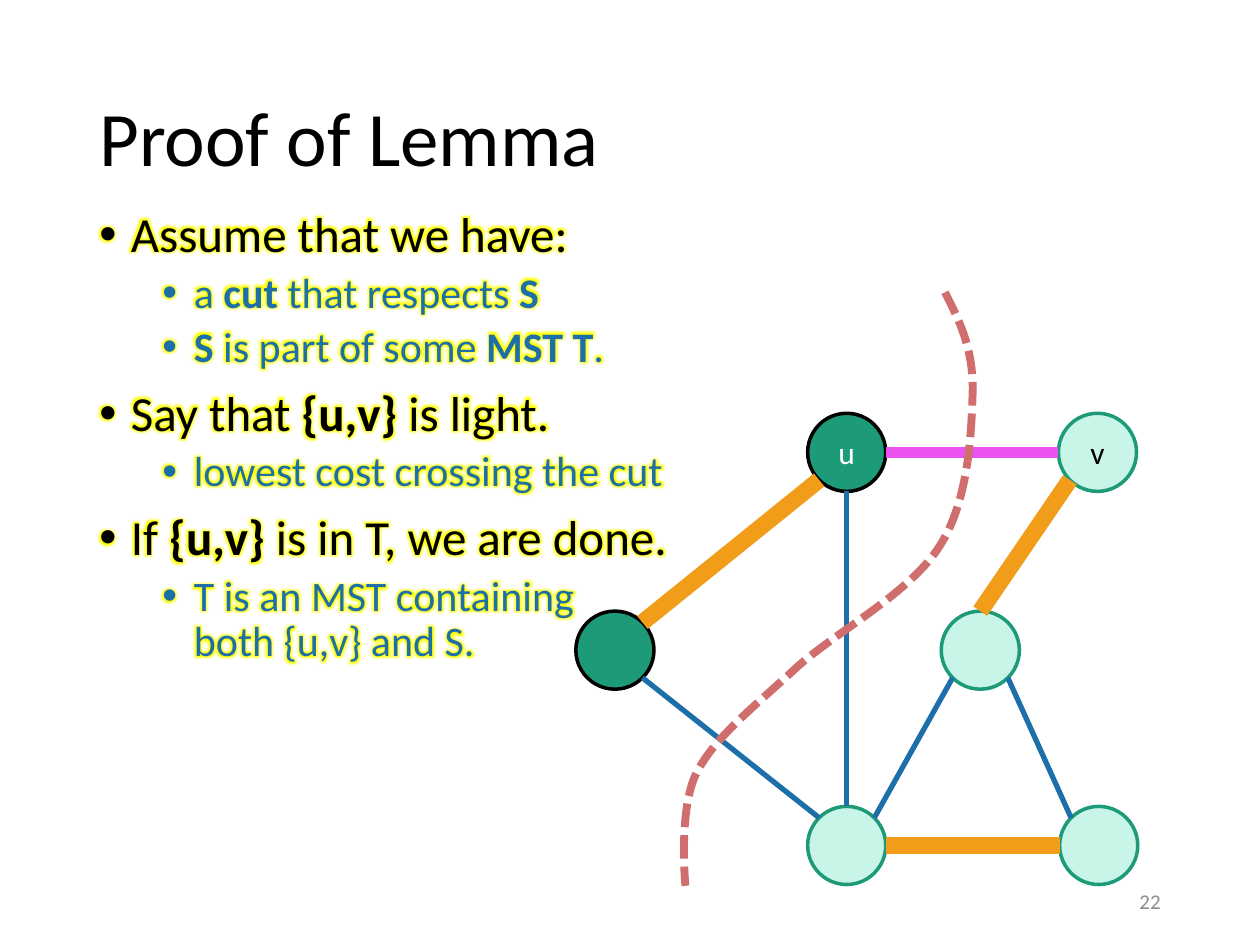
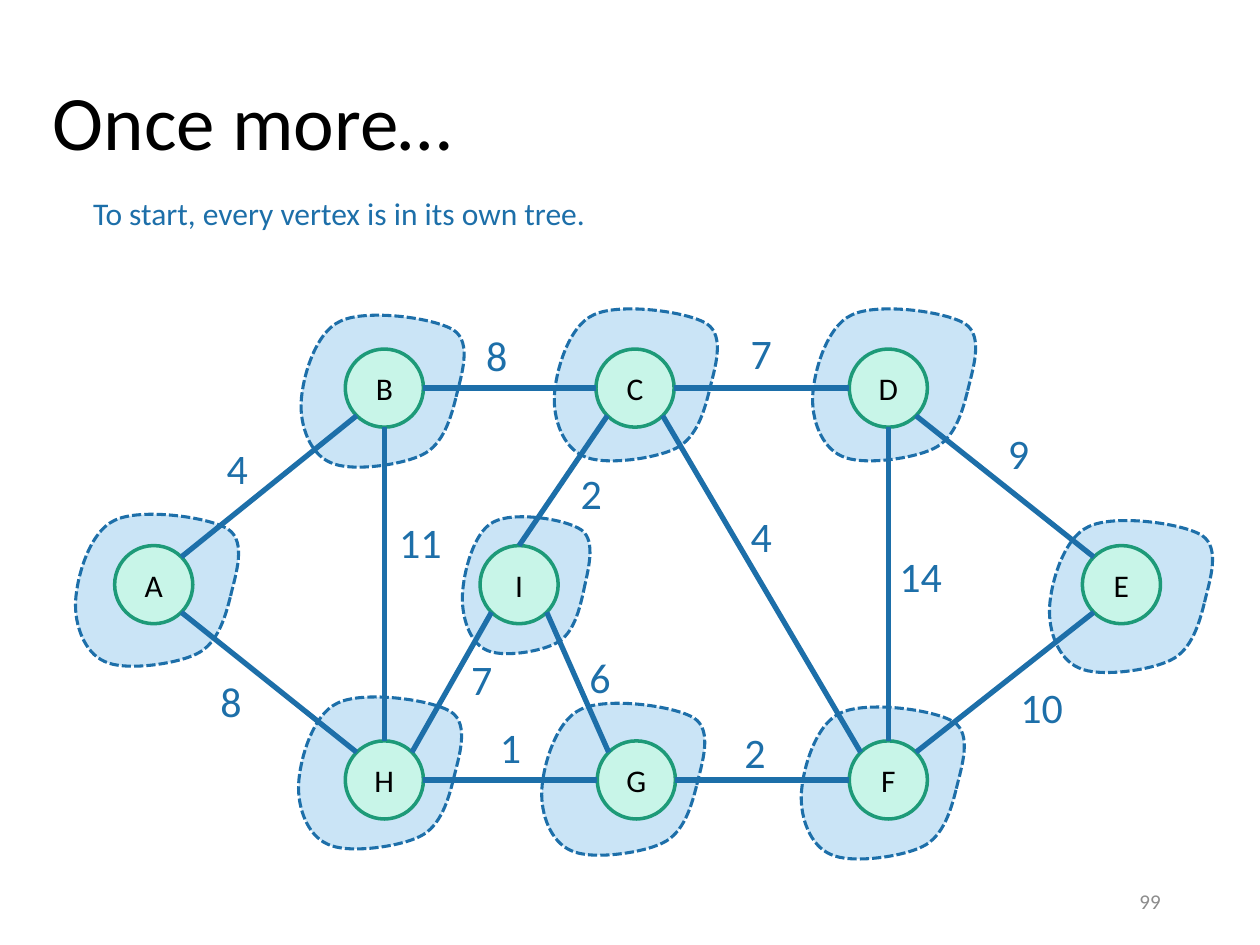
import math

import lxml.etree
import pptx
import pptx.dml.color
import pptx.enum.dml
import pptx.enum.shapes
import pptx.enum.text
import pptx.oxml.ns
import pptx.util

Inches, Pt = pptx.util.Inches, pptx.util.Pt
RGB = pptx.dml.color.RGBColor
ALIGN = pptx.enum.text.PP_ALIGN
ANCHOR = pptx.enum.text.MSO_ANCHOR
qn = pptx.oxml.ns.qn

FONT = "Calibri"
BLACK, WHITE, GREY = RGB(0, 0, 0), RGB(255, 255, 255), RGB(0x8C, 0x8C, 0x8C)
BLUE, PALE_BLUE = RGB(0x1D, 0x6F, 0xA9), RGB(0xCA, 0xE4, 0xF6)
GREEN, MINT = RGB(0x1D, 0x9A, 0x78), RGB(0xC8, 0xF5, 0xE8)
ORANGE, PINK, RED = RGB(0xF1, 0x9D, 0x19), RGB(0xEA, 0x53, 0xF1), RGB(0xCF, 0x6E, 0x6C)
GLOW = RGB(0xFF, 0xFF, 0)

NODE_SIZE = 0.62
SITE_ANGLES = {"r": 0, "br": 45, "b": 90, "bl": 135, "l": 180, "tl": 225, "t": 270, "tr": 315}

# Slide 1: (level, text), with bold parts between asterisks
PROOF = [
    (0, "Assume that we have:"),
    (1, "a *cut* that respects *S*"),
    (1, "*S* is part of some *MST T*."),
    (0, "Say that *{u,v} *is light."),
    (1, "lowest cost crossing the cut"),
    (0, "If *{u,v} *is in T, we are done."),
    (1, "T is an MST containing\nboth {u,v} and S."),
]
LEVELS = [dict(left=0.25, size=28, color=BLACK, before=10),
          dict(left=0.75, size=24, color=BLUE, before=5)]

# Vertex: centre x, centre y, label
PROOF_NODES = {
    "v": (8.71, 3.59, "v"), "u": (6.72, 3.59, "u"), "left": (4.88, 5.16, ""),
    "low": (6.72, 6.71, ""), "corner": (8.72, 6.71, ""), "middle": (7.78, 5.16, ""),
}
CUT_SIDE = ("u", "left")
PLAIN_EDGE, TREE_EDGE, LIGHT_EDGE = (BLUE, 3), (ORANGE, 9.5), (PINK, 6)
PROOF_EDGES = [
    ("middle", "br", "corner", "tl", PLAIN_EDGE),
    ("middle", "t", "v", "bl", TREE_EDGE),
    ("u", "r", "v", "l", LIGHT_EDGE),
    ("left", "tr", "u", "bl", TREE_EDGE),
    ("left", "br", "low", "tl", PLAIN_EDGE),
    ("corner", "l", "low", "r", TREE_EDGE),
    ("middle", "bl", "low", "tr", PLAIN_EDGE),
    ("low", "t", "u", "b", PLAIN_EDGE),
]
# Curves: start point, then two control points and an end point per piece
CUT_BOX = (5.42, 2.32, 2.29, 4.71)
CUT_CURVE = [
    (7.5, 2.32), (7.61, 2.54), (7.72, 2.75), (7.72, 3.09), (7.71, 3.43), (7.69, 3.97),
    (7.46, 4.33), (7.23, 4.7), (6.66, 5), (6.33, 5.29), (6.01, 5.59), (5.68, 5.84),
    (5.53, 6.13), (5.38, 6.42), (5.44, 7.03), (5.44, 7.03),
]

# Slide 2
GRAPH_NODES = {
    "A": (1.22, 4.64), "B": (3.05, 3.08), "C": (5.04, 3.08), "D": (7.05, 3.08),
    "E": (8.9, 4.64), "F": (7.05, 6.19), "G": (5.05, 6.19), "H": (3.05, 6.19),
    "I": (4.12, 4.64),
}
GRAPH_EDGES = [  # from, site, to, site, weight, weight box left and top
    ("A", "tr", "B", "bl", "4", 1.7, 3.46),
    ("A", "br", "H", "tl", "8", 1.65, 5.31),
    ("B", "r", "C", "l", "8", 3.76, 2.57),
    ("B", "b", "H", "t", "11", 3.07, 4.05),
    ("C", "r", "D", "l", "7", 5.86, 2.55),
    ("C", "bl", "I", "t", "2", 4.51, 3.66),
    ("C", "br", "F", "tl", "4", 5.86, 4),
    ("D", "br", "E", "tl", "9", 7.9, 3.34),
    ("D", "b", "F", "t", "14", 7.04, 4.32),
    ("E", "bl", "F", "tr", "10", 8, 5.36),
    ("I", "bl", "H", "tr", "7", 3.64, 5.14),
    ("I", "br", "G", "tl", "6", 4.58, 5.12),
    ("H", "r", "G", "l", "1", 3.87, 5.68),
    ("G", "r", "F", "l", "2", 5.81, 5.72),
]
TREE_SIZE, SMALL_TREE_SIZE = (1.29, 1.21), (1.01, 1.09)
TREE_OUTLINE = [  # within a box of TREE_SIZE
    (1.23, 0.65), (1.27, 0.48), (1.36, 0.22), (1.21, 0.12), (1.05, 0.02), (0.51, -0.05),
    (0.31, 0.05), (0.11, 0.14), (0.01, 0.5), (0, 0.69), (-0.01, 0.88), (0.07, 1.1),
    (0.23, 1.17), (0.39, 1.25), (0.8, 1.19), (0.96, 1.11), (1.13, 1.03), (1.19, 0.81),
    (1.23, 0.65),
]
TREES = [  # left, top, size
    (6.36, 5.61, TREE_SIZE), (8.33, 4.13, TREE_SIZE), (6.45, 2.45, TREE_SIZE),
    (4.4, 2.45, TREE_SIZE), (2.39, 2.5, TREE_SIZE), (3.67, 4.1, SMALL_TREE_SIZE),
    (4.3, 5.58, TREE_SIZE), (2.37, 5.53, TREE_SIZE), (0.6, 4.08, TREE_SIZE),
]


def style_runs(p, size, color):
    for r in p.runs:
        r.font.size, r.font.name = Pt(size), FONT
        r.font.color.rgb = color


def add_text(s, box, text, size, color, align=ALIGN.LEFT, anchor=ANCHOR.TOP):
    tf = s.shapes.add_textbox(*map(Inches, box)).text_frame
    tf.word_wrap, tf.vertical_anchor = True, anchor
    p = tf.paragraphs[0]
    p.text, p.alignment = text, align
    style_runs(p, size, color)
    return p


def add_slide(prs, title, title_box, number):
    s = prs.slides.add_slide(prs.slide_layouts[6])
    p = add_text(s, title_box, title, 44, BLACK, anchor=ANCHOR.MIDDLE)
    p.line_spacing = 0.9
    add_text(s, (7.06, 6.95, 2.25, 0.4), number, 12, GREY, ALIGN.RIGHT, ANCHOR.MIDDLE)
    return s


def add_bullet(p, left):
    pPr = p._p.get_or_add_pPr()
    pPr.set("marL", str(Inches(left)))
    pPr.set("indent", str(Inches(-0.25)))
    lxml.etree.SubElement(pPr, qn("a:buFont"), typeface="Arial")
    lxml.etree.SubElement(pPr, qn("a:buChar"), char="•")


def add_glow(r):
    effects = lxml.etree.Element(qn("a:effectLst"))
    glow = lxml.etree.SubElement(effects, qn("a:glow"), rad=str(Pt(6)))
    lxml.etree.SubElement(glow, qn("a:srgbClr"), val=str(GLOW))
    r.font._element.find(qn("a:solidFill")).addnext(effects)


def add_proof(s, box):
    tf = s.shapes.add_textbox(*map(Inches, box)).text_frame
    tf.word_wrap = True
    for i, (level, text) in enumerate(PROOF):
        look = LEVELS[level]
        p = tf.add_paragraph() if i else tf.paragraphs[0]
        p.level = level
        add_bullet(p, look["left"])
        p.line_spacing = 0.9
        p.space_before = Pt(look["before"] if i else 0)
        for j, part in enumerate(text.split("*")):
            for k, line in enumerate(part.split("\n")):
                if k:
                    p.add_line_break()
                if line:
                    r = p.add_run()
                    r.text, r.font.bold = line, j % 2 == 1
        style_runs(p, look["size"], look["color"])
        for r in p.runs:
            add_glow(r)


def add_node(s, x, y, label, fill=MINT, line=GREEN, color=BLACK):
    half = NODE_SIZE / 2
    sp = s.shapes.add_shape(pptx.enum.shapes.MSO_SHAPE.OVAL,
                            *map(Inches, (x - half, y - half, NODE_SIZE, NODE_SIZE)))
    sp.shadow.inherit = False
    sp.fill.solid()
    sp.fill.fore_color.rgb = fill
    sp.line.color.rgb, sp.line.width = line, Pt(2)
    if label:
        tf = sp.text_frame
        tf.text, tf.vertical_anchor = label, ANCHOR.MIDDLE
        tf.paragraphs[0].alignment = ALIGN.CENTER
        style_runs(tf.paragraphs[0], 18, color)


def site_point(node, site):
    """Point on the rim of a vertex, in EMU."""
    angle = math.radians(SITE_ANGLES[site])
    return (Inches(node[0] + NODE_SIZE / 2 * math.cos(angle)),
            Inches(node[1] + NODE_SIZE / 2 * math.sin(angle)))


def add_edge(s, nodes, start, start_site, end, end_site, color, width):
    c = s.shapes.add_connector(pptx.enum.shapes.MSO_CONNECTOR.STRAIGHT,
                               *site_point(nodes[start], start_site),
                               *site_point(nodes[end], end_site))
    c.line.color.rgb, c.line.width = color, Pt(width)
    lxml.etree.SubElement(c._element.spPr, qn("a:effectLst"))


def bend_segments(sp, box, points):
    """Turn the straight segments of a freeform into Bezier pieces inside box."""
    left, top, width, height = map(Inches, box)
    sp.left, sp.top, sp.width, sp.height = left, top, width, height
    outline = next(sp._element.iter(qn("a:path")))
    outline.set("w", str(width))
    outline.set("h", str(height))
    local = [(str(x - left), str(y - top)) for x, y in points]
    start = outline.find(qn("a:moveTo")).find(qn("a:pt"))
    start.set("x", local[0][0])
    start.set("y", local[0][1])
    for i, segment in enumerate(outline.findall(qn("a:lnTo"))):
        piece = lxml.etree.Element(qn("a:cubicBezTo"))
        for x, y in local[3 * i + 1:3 * i + 4]:
            lxml.etree.SubElement(piece, qn("a:pt"), x=x, y=y)
        outline.replace(segment, piece)


def add_dashed_curve(s, box, curve, color, width, fill=None):
    """Draw a dashed curve, closed when it has a fill."""
    points = [(Inches(x), Inches(y)) for x, y in curve]
    builder = s.shapes.build_freeform(*points[0])
    builder.add_line_segments(points[3::3], close=fill is not None)
    sp = builder.convert_to_shape()
    bend_segments(sp, box, points)
    sp.shadow.inherit = False
    if fill is None:
        sp.fill.background()
    else:
        sp.fill.solid()
        sp.fill.fore_color.rgb = fill
    sp.line.color.rgb, sp.line.width = color, Pt(width)
    sp.line.dash_style = pptx.enum.dml.MSO_LINE.SQUARE_DOT


def build_proof_slide(prs):
    s = add_slide(prs, "Proof of Lemma", (0.69, 0.4, 8.62, 1.45), "22")
    add_proof(s, (0.69, 1.62, 4.75, 5.14))
    for name, node in PROOF_NODES.items():
        look = (GREEN, BLACK, WHITE) if name in CUT_SIDE else ()
        add_node(s, *node, *look)
    for *ends, look in PROOF_EDGES:
        add_edge(s, PROOF_NODES, *ends, *look)
    add_dashed_curve(s, CUT_BOX, CUT_CURVE, RED, 4.5)


def build_forest_slide(prs):
    s = add_slide(prs, "Once more…", (0.32, 0.04, 9.72, 1.91), "99")
    add_text(s, (0.64, 1.49, 4.54, 0.4), "To start, every vertex is in its own tree.", 18, BLUE)
    for left, top, size in TREES:
        sx, sy = (a / b for a, b in zip(size, TREE_SIZE))
        outline = [(left + sx * x, top + sy * y) for x, y in TREE_OUTLINE]
        add_dashed_curve(s, (left, top, *size), outline, BLUE, 1.75, PALE_BLUE)
    for label, centre in GRAPH_NODES.items():
        add_node(s, *centre, label)
    for *ends, weight, left, top in GRAPH_EDGES:
        add_edge(s, GRAPH_NODES, *ends, *PLAIN_EDGE)
        add_text(s, (left, top, 0.86, 0.5), weight, 24, BLUE)


def main():
    prs = pptx.Presentation()
    prs.slide_width, prs.slide_height = Inches(10), Inches(7.5)
    build_proof_slide(prs)
    build_forest_slide(prs)
    prs.save("out.pptx")


if __name__ == "__main__":
    main()
